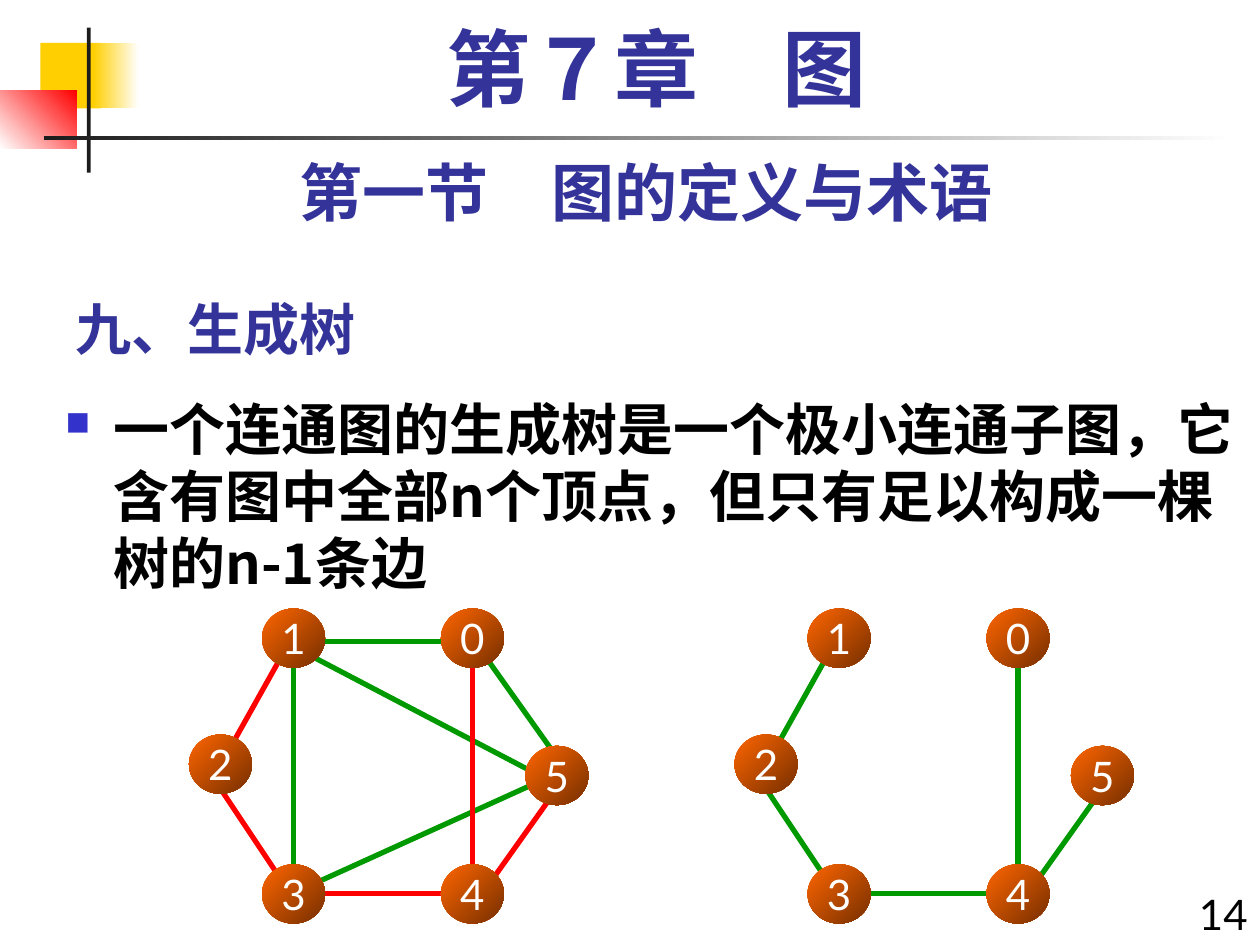
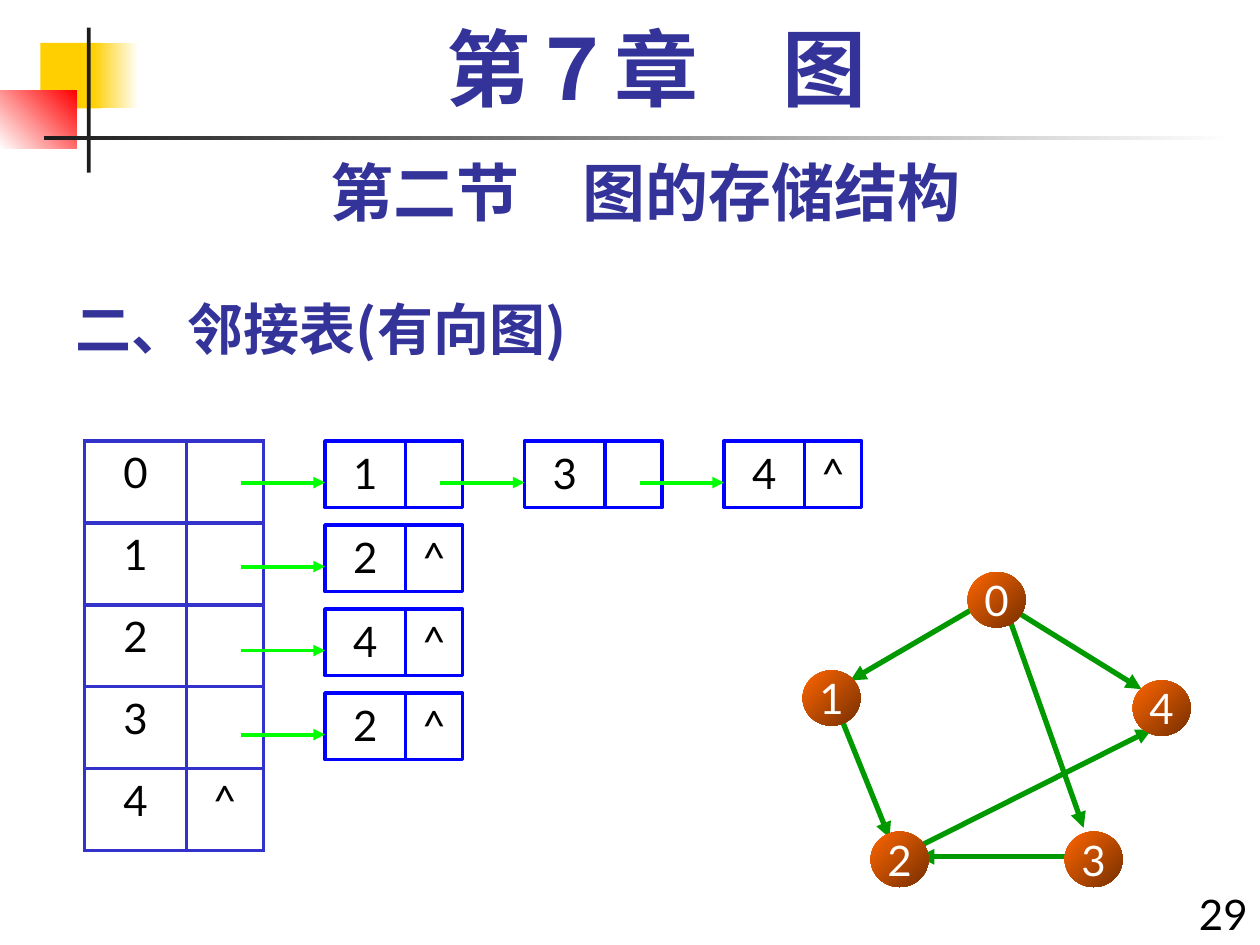
"""Build two lecture slides on graphs: spanning trees and adjacency lists."""
from lxml import etree
from pptx import Presentation
from pptx.dml.color import RGBColor
from pptx.enum.shapes import MSO_CONNECTOR as CONN, MSO_SHAPE as SHAPE
from pptx.enum.text import MSO_ANCHOR as ANCHOR, MSO_AUTO_SIZE as AUTO, PP_ALIGN as ALIGN
from pptx.oxml.ns import qn
from pptx.util import Inches, Pt

COLORS = {
    "ink": "000000", "white": "FFFFFF", "heading": "333399", "grid": "3333CC",
    "yellow": "FFCF01", "red": "FF0000", "bar": "1C1C1C", "green": "009900",
    "orange": "FF6600", "brown": "762F00", "box": "0000FF", "link": "00FF00",
}
SANS, CJK, SERIF = "Lato", "Noto Sans CJK SC", "Times New Roman"

CHAPTER = "第７章　图"
TREE = {
    "section": "第一节　图的定义与术语", "title": "九、生成树", "title_width": 6.25, "page": "14",
    "body": "一个连通图的生成树是一个极小连通子图，它含有图中全部n个顶点，"
            "但只有足以构成一棵树的n-1条边",
}
ADJACENCY = {
    "section": "第二节　图的存储结构", "title": "二、邻接表(有向图)", "title_width": 7.25, "page": "29",
}

BANDS = [
    ((0.32, 0.34, 0.48, 0.52), ("yellow",), 0),
    ((0.74, 0.34, 0.36, 0.52), ("yellow", "white"), 0),
    ((0, 0.72, 0.61, 0.46), ("white", "red"), 315),
    ((0.69, 0.22, 0.03, 1.15), ("bar",), 0),
    ((0.35, 1.08, 9.45, 0.03), ("bar", "white"), 0),
]

TREE_NODES = {"1": (2.08, 4.83), "3": (2.08, 6.86), "2": (1.5, 5.83),
              "5": (4.17, 5.92), "4": (3.5, 6.86), "0": (3.5, 4.83)}
TREE_EDGES = [
    (3.75, 5.26, 3.75, 6.93), (2.25, 5.18, 1.83, 5.93), (2.25, 7.01, 1.75, 6.26),
    (3.67, 7.09, 2.42, 7.09), (4.42, 6.26, 3.83, 7.09),
]
OTHER_EDGES = [
    (3.58, 5.09, 2.58, 5.09), (3.83, 5.18, 4.42, 6.01), (2.33, 7.01, 2.33, 5.26),
    (4.33, 6.18, 2.42, 5.18), (4.33, 6.18, 2.5, 7.01),
]
TREE_SHIFT = 4.33

DIGRAPH_NODES = {"1": (6.37, 5.32), "3": (8.45, 6.6), "2": (6.91, 6.6),
                 "4": (8.99, 5.4), "0": (7.68, 4.54)}
DIGRAPH_EDGES = [
    (8.06, 4.85, 9.06, 5.47), (6.68, 5.71, 7.06, 6.65), (7.83, 4.77, 6.75, 5.4),
    (7.99, 4.85, 8.6, 6.57), (8.45, 6.8, 7.29, 6.8), (7.29, 6.72, 9.14, 5.79),
]
NEIGHBOURS = {"0": ["1", "3", "4"], "1": ["2"], "2": ["4"], "3": ["2"], "4": []}
NIL = "^"


def rgb(name):
    return RGBColor.from_string(COLORS[name])


def write(tf, text, size=24, font=SANS, color="ink", bold=False, align=ALIGN.CENTER,
          anchor=ANCHOR.TOP, spacing=None, bullet=None):
    tf.word_wrap = True
    tf.vertical_anchor = anchor
    p = tf.paragraphs[0]
    p.alignment = align
    if spacing:
        p.line_spacing = spacing
    if bullet:
        pPr = p._p.get_or_add_pPr()
        pPr.set("marL", str(Inches(0.38)))
        pPr.set("indent", str(-Inches(0.38)))
        clr = etree.SubElement(pPr, qn("a:buClr"))
        etree.SubElement(clr, qn("a:srgbClr"), val=COLORS["grid"])
        etree.SubElement(pPr, qn("a:buSzPct"), val="60000")
        etree.SubElement(pPr, qn("a:buChar"), char=bullet)
    r = p.add_run()
    r.text = text
    r.font.name, r.font.size, r.font.bold = font, Pt(size), bold
    r.font.color.rgb = rgb(color)
    etree.SubElement(r._r.get_or_add_rPr(), qn("a:ea"), typeface=SANS)


def add_text(s, box, text, **fmt):
    tf = s.shapes.add_textbox(*map(Inches, box)).text_frame
    write(tf, text, **fmt)


def add_filled(shapes, kind, box, colors=(), angle=0, line=None):
    sp = shapes.add_shape(kind, *map(Inches, box))
    sp.shadow.inherit = False
    if len(colors) == 2:
        sp.fill.gradient()
        sp.fill.gradient_angle = (360 - angle) % 360
        for stop, name in zip(sp.fill.gradient_stops, colors):
            stop.color.rgb = rgb(name)
    elif colors:
        sp.fill.solid()
        sp.fill.fore_color.rgb = rgb(colors[0])
    else:
        sp.fill.background()
    if line:
        sp.line.color.rgb = rgb(line)
        sp.line.width = Pt(2)
    else:
        sp.line.fill.background()
    return sp


def add_line(shapes, ends, color, width=3, arrow=False):
    c = shapes.add_connector(CONN.STRAIGHT, *map(Inches, ends))
    c.line.color.rgb = rgb(color)
    c.line.width = Pt(width)
    if arrow:
        etree.SubElement(c.line._get_or_add_ln(), qn("a:tailEnd"), type="triangle")
    etree.SubElement(c._element.spPr, qn("a:effectLst"))


def add_graph(s, nodes, edges, size, shift=0, arrow=False):
    shapes = s.shapes.add_group_shape().shapes
    for (x1, y1, x2, y2), color in edges:
        add_line(shapes, (x1 + shift, y1, x2 + shift, y2), color, arrow=arrow)
    for label, (x, y) in nodes.items():
        sp = add_filled(shapes, SHAPE.OVAL, (x + shift, y, *size), ("orange", "brown"), 45)
        tf = sp.text_frame
        write(tf, label, color="white", anchor=ANCHOR.MIDDLE)
        tf.margin_left = tf.margin_right = 0
        tf.word_wrap = False


def add_vertex_table(s):
    box = (0.67, 3.5, 1.42, 3.25)
    frame = s.shapes.add_table(len(NEIGHBOURS), 2, *map(Inches, box))
    table = frame.table
    table.first_row = table.horz_banding = False
    for col, width in zip(table.columns, (0.81, 0.61)):
        col.width = Inches(width)
    for row, (vertex, linked) in zip(table.rows, NEIGHBOURS.items()):
        row.height = Inches(0.65)
        for cell, text in zip(row.cells, (vertex, "" if linked else NIL)):
            if text:
                write(cell.text_frame, text)
            tcPr = cell._tc.get_or_add_tcPr()
            for side in ("lnL", "lnR", "lnT", "lnB"):
                ln = etree.SubElement(tcPr, qn(f"a:{side}"), w=str(Pt(2.25)))
                fill = etree.SubElement(ln, qn("a:solidFill"))
                etree.SubElement(fill, qn("a:srgbClr"), val=COLORS["grid"])
            cell.fill.background()


def add_linked_lists(s):
    shapes = s.shapes.add_group_shape().shapes
    for i, linked in enumerate(NEIGHBOURS.values()):
        y = 3.5 + i * 2 / 3
        for j, vertex in enumerate(linked):
            x = 2.58 + j * 19 / 12
            pointer = NIL if j == len(linked) - 1 else ""
            for left, width, text in ((x, 0.64, vertex), (x + 0.64, 0.45, pointer)):
                sp = add_filled(shapes, SHAPE.RECTANGLE, (left, y, width, 0.53), line="box")
                if text:
                    write(sp.text_frame, text)
            add_line(shapes, (x - 0.67, y + 0.33, x, y + 0.33), "link", 2.25, arrow=True)


def add_slide(prs, content):
    s = prs.slides.add_slide(prs.slide_layouts[5])
    for box, colors, angle in BANDS:
        add_filled(s.shapes, SHAPE.RECTANGLE, box, colors, angle)
    title = s.shapes.title
    title.left, title.top = Inches(0.5), Inches(2.17)
    title.width, title.height = Inches(content["title_width"]), Inches(0.75)
    title.text_frame.auto_size = AUTO.NONE
    heading = {"color": "heading", "bold": True}
    write(title.text_frame, content["title"], size=32, font=CJK, align=ALIGN.LEFT,
          anchor=ANCHOR.BOTTOM, **heading)
    add_text(s, (9.33, 7, 0.67, 0.5), content["page"], align=ALIGN.RIGHT)
    add_text(s, (0.5, 1.17, 9.25, 0.7), content["section"], size=36, **heading)
    add_text(s, (0.67, 0.17, 9.08, 0.83), CHAPTER, size=48, font=SERIF, spacing=0.9, **heading)
    return s


def main():
    prs = Presentation()
    prs.slide_width, prs.slide_height = Inches(10), Inches(7.5)

    s = add_slide(prs, TREE)
    add_text(s, (0.42, 3.08, 9.58, 4.42), TREE["body"], size=32, font=CJK, bold=True,
             align=ALIGN.LEFT, spacing=Pt(38.4), bullet="■")
    full = [(e, "green") for e in OTHER_EDGES] + [(e, "red") for e in TREE_EDGES]
    add_graph(s, TREE_NODES, full, (0.5, 0.47))
    add_graph(s, TREE_NODES, [(e, "green") for e in TREE_EDGES], (0.5, 0.47), TREE_SHIFT)

    s = add_slide(prs, ADJACENCY)
    add_vertex_table(s)
    add_graph(s, DIGRAPH_NODES, [(e, "green") for e in DIGRAPH_EDGES], (0.46, 0.44), arrow=True)
    add_linked_lists(s)

    prs.save("out.pptx")


if __name__ == "__main__":
    main()
